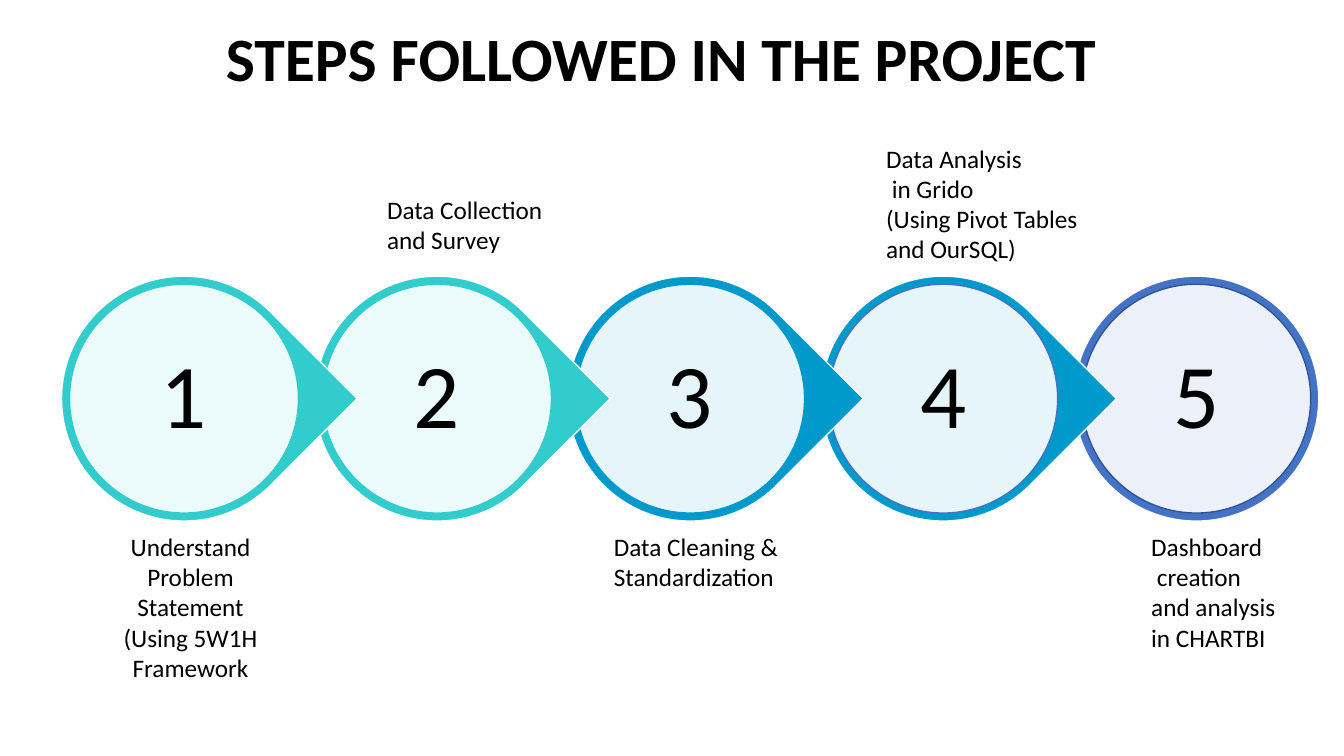
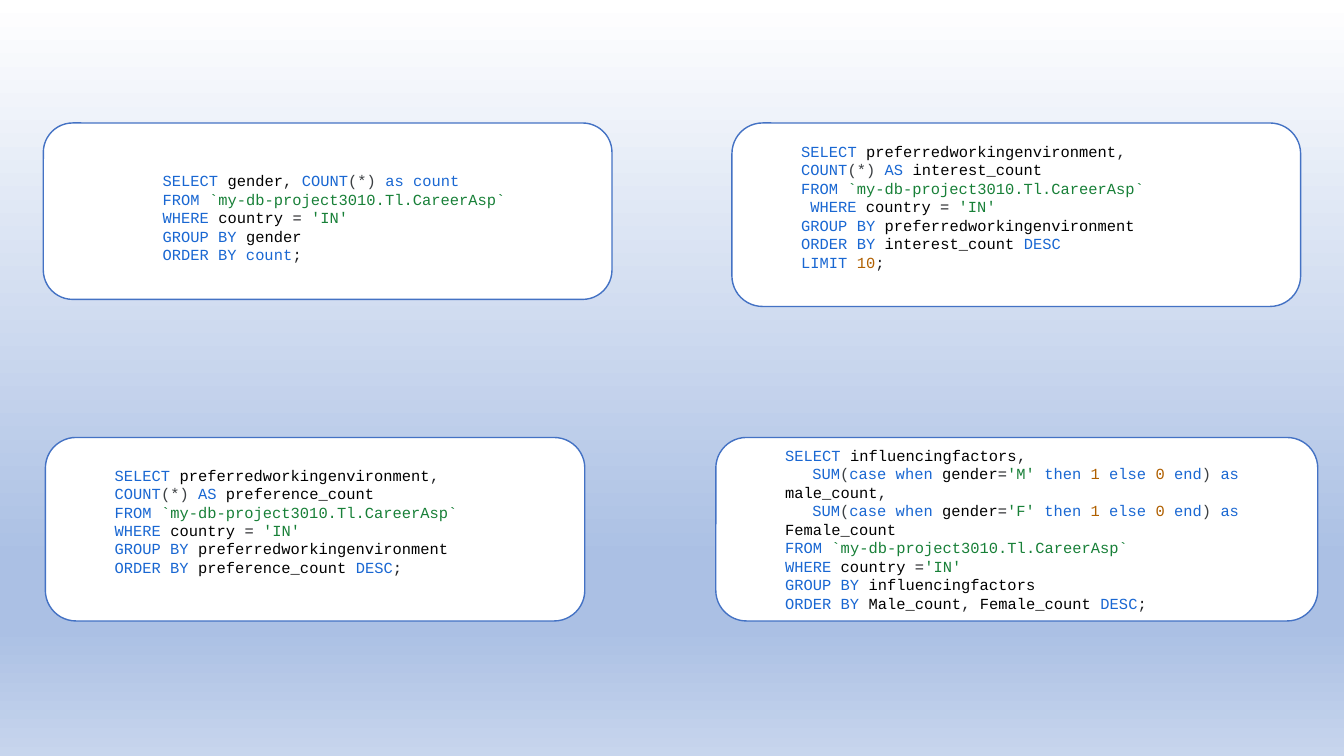
from pptx import Presentation
from pptx.dml.color import RGBColor
from pptx.enum.shapes import MSO_SHAPE
from pptx.enum.text import MSO_ANCHOR, MSO_AUTO_SIZE, PP_ALIGN
from pptx.oxml import parse_xml
from pptx.oxml.ns import nsdecls
from pptx.util import Inches, Pt

OVAL, DROP, ROUND = MSO_SHAPE.OVAL, MSO_SHAPE.TEAR, MSO_SHAPE.ROUNDED_RECTANGLE
LEFT, MID = PP_ALIGN.LEFT, PP_ALIGN.CENTER
TOP, CENTER = MSO_ANCHOR.TOP, MSO_ANCHOR.MIDDLE

HUE = dict(
    white="FFFFFF", black="000000", teal="33CCCC", sky="0099CC",
    blue="4472C4", navy="2F5597", word="1967D2", text="188038",
    number="B06000", mark="202124", paren="3C4043",
    mist="ABC0E4", pale="C7D5ED",
)

# Slide 1: colour, inner outline, label lines, label box (left, top, width, height), align
TITLE = "STEPS FOLLOWED IN THE PROJECT"
STEPS = [
    ("teal", "teal", ["Understand Problem Statement", "(Using 5W1H Framework"],
     (0.89, 5.22, 2, 1.62), MID),
    ("teal", "teal", ["Data Collection", "and Survey"],
     (3.74, 1.88, 1.82, 0.71), LEFT),
    ("sky", "sky", ["Data Cleaning &", "Standardization"],
     (5.99, 5.22, 1.85, 0.71), LEFT),
    ("sky", "blue", ["Data Analysis", " in Grido", "(Using Pivot Tables", "and OurSQL)"],
     (8.69, 1.37, 2.25, 1.31), LEFT),
    ("blue", "navy", ["Dashboard", " creation", "and analysis", "in CHARTBI"],
     (11.32, 5.22, 1.7, 1.31), LEFT),
]

# Slide 2: box, left margin, top and bottom padding, query
QUERIES = [
    ((0.43, 1.22, 5.64, 1.75), 1, (0.18, 0.05), """\
SELECT gender, COUNT(*) as count
FROM `my-db-project3010.Tl.CareerAsp`
WHERE country = 'IN'
GROUP BY gender
ORDER BY count;"""),
    ((7.26, 1.22, 5.64, 1.82), 0.5, (0.05, 0.21), """\
SELECT preferredworkingenvironment,
COUNT(*) AS interest_count
FROM `my-db-project3010.Tl.CareerAsp`
 WHERE country = 'IN'
GROUP BY preferredworkingenvironment
ORDER BY interest_count DESC
LIMIT 10;"""),
    ((0.45, 4.34, 5.35, 1.82), 0.5, (0.05, 0.21), """\
SELECT preferredworkingenvironment,
COUNT(*) AS preference_count
FROM `my-db-project3010.Tl.CareerAsp`
WHERE country = 'IN'
GROUP BY preferredworkingenvironment
ORDER BY preference_count DESC;"""),
    ((7.1, 4.34, 5.97, 1.82), 0.5, (0.05, 0.05), """\
SELECT influencingfactors,
   SUM(case when gender='M' then 1 else 0 end) as male_count,
   SUM(case when gender='F' then 1 else 0 end) as Female_count
FROM `my-db-project3010.Tl.CareerAsp`
WHERE country ='IN'
GROUP BY influencingfactors
ORDER BY Male_count, Female_count DESC;"""),
]
WORDS = set("select from where group order by as count sum case when then else "
            "end desc limit".split())
STOPS = [(0, "white"), (74, "mist"), (83, "mist"), (100, "pale")]


def rgb(name):
    return RGBColor.from_string(HUE[name])


def write(shape, lines, size=18, font="Calibri", bold=False, align=LEFT,
          anchor=TOP, space=None, margin=0, pad=(0.05, 0.05), side=0.1):
    """Each line is a string or a list of (text, colour) runs."""
    frame = shape.text_frame
    frame.word_wrap = True
    frame.auto_size = MSO_AUTO_SIZE.NONE
    frame.vertical_anchor = anchor
    frame.margin_top, frame.margin_bottom = map(Inches, pad)
    frame.margin_left = frame.margin_right = Inches(side)
    for i, line in enumerate(lines):
        para = frame.add_paragraph() if i else frame.paragraphs[0]
        para.alignment = align
        if space:
            para.line_spacing = space
        runs = [(line, "black")] if isinstance(line, str) else line
        lead = 0
        if margin:
            # Leading blanks become a first-line indent
            first, hue = runs[0]
            bare = first.lstrip()
            lead = (len(first) - len(bare)) * 0.09
            runs = [(bare, hue)] + runs[1:]
            props = para._p.get_or_add_pPr()
            props.set("marL", str(Inches(margin)))
            props.set("indent", str(Inches(lead)))
        for text, hue in runs:
            run = para.add_run()
            run.text = text
            run.font.size, run.font.name, run.font.bold = Pt(size), font, bold
            run.font.color.rgb = rgb(hue)


def shade(token):
    if token[0] in "`'":
        return "text"
    if token.isdigit():
        return "number"
    if token.lower() in WORDS:
        return "word"
    if token[0].isalnum():
        return "black"
    return "paren" if token[0] in "(*)" else "mark"


def paint(line):
    """Split a line of SQL into coloured runs; blanks join the run before."""
    tokens, quote = [], ""
    for ch in line:
        last = tokens[-1] if tokens else ""
        name = ch.isalnum() or ch == "_"
        joined = name and last and (last[-1].isalnum() or last[-1] == "_")
        if last and (quote or joined or ch == " " or not last.strip()):
            tokens[-1] += ch
        else:
            tokens.append(ch)
        if quote:
            quote = "" if ch == quote else quote
        elif ch in "`'":
            quote = ch
    return [(tok, shade(tok.strip())) for tok in tokens]


def draw(slide, kind, box, fill, line):
    shape = slide.shapes.add_shape(kind, *map(Inches, box))
    shape.shadow.inherit = False
    shape.fill.solid()
    shape.fill.fore_color.rgb = rgb(fill)
    shape.line.color.rgb = rgb(line)
    shape.line.width = Pt(1)
    return shape


def steps(deck):
    slide = deck.slides.add_slide(deck.slide_layouts[5])
    # Chain of discs, drawn from the last so each point overlaps the next
    disc, inner, pitch, left, top = 2.43, 2.27, 2.51, 0.61, 2.74
    gap = (disc - inner) / 2
    for i, (hue, edge, label, box, align) in reversed(list(enumerate(STEPS))):
        x = left + i * pitch
        final = i == len(STEPS) - 1
        outer = draw(slide, OVAL if final else DROP, (x, top, disc, disc), hue, "white")
        outer.rotation = 0 if final else 45
        face = draw(slide, OVAL, (x + gap, top + gap, inner, inner), "white", edge)
        color = face.fill._xPr.find(".//" + "{http://schemas.openxmlformats.org/drawingml/2006/main}srgbClr")
        color.append(parse_xml(f'<a:alpha {nsdecls("a")} val="90000"/>'))
        write(face, [str(i + 1)], size=65, align=MID, anchor=CENTER, space=0.9)
        note = slide.shapes.add_textbox(*map(Inches, box))
        write(note, label, align=align)
    # Title
    title = slide.shapes.title
    title.left, title.top, title.width, title.height = map(Inches, (0.81, 0.14, 11.5, 0.95))
    write(title, [TITLE], size=44, bold=True, align=MID, anchor=CENTER, space=0.9)


def queries(deck):
    slide = deck.slides.add_slide(deck.slide_layouts[6])
    # Gradient background
    stops = "".join(f'<a:gs pos="{at * 1000}"><a:srgbClr val="{HUE[hue]}"/></a:gs>'
                    for at, hue in STOPS)
    slide._element.cSld.insert(0, parse_xml(
        f'<p:bg {nsdecls("p", "a")}><p:bgPr><a:gradFill><a:gsLst>{stops}</a:gsLst>'
        '<a:lin ang="5400000" scaled="1"/></a:gradFill><a:effectLst/></p:bgPr></p:bg>'))
    # Query cards
    for box, margin, pad, code in QUERIES:
        card = draw(slide, ROUND, box, "white", "blue")
        write(card, [paint(line) for line in code.splitlines()], size=11,
              font="Courier New", anchor=CENTER, space=Pt(13.2), margin=margin, pad=pad)


def main():
    deck = Presentation()
    deck.slide_width, deck.slide_height = Inches(13.33), Inches(7.5)
    steps(deck)
    queries(deck)
    deck.save("out.pptx")


if __name__ == "__main__":
    main()
